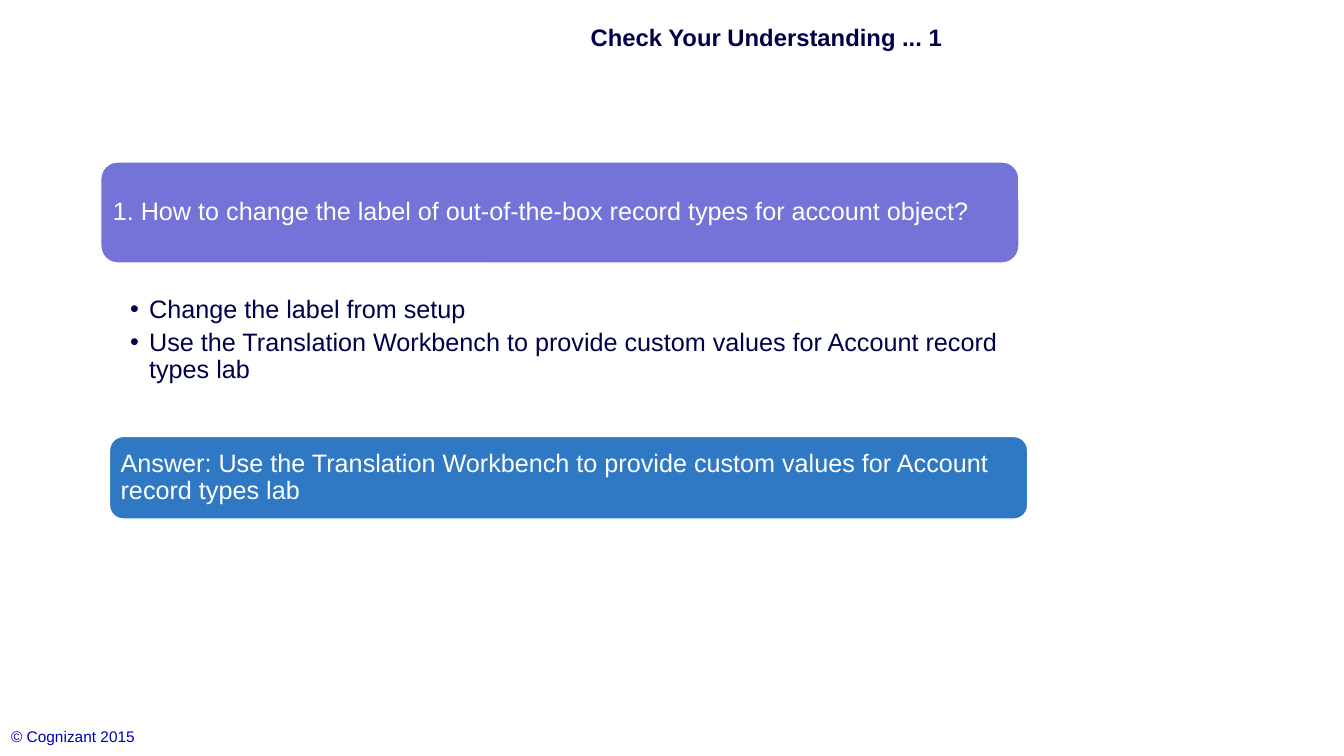
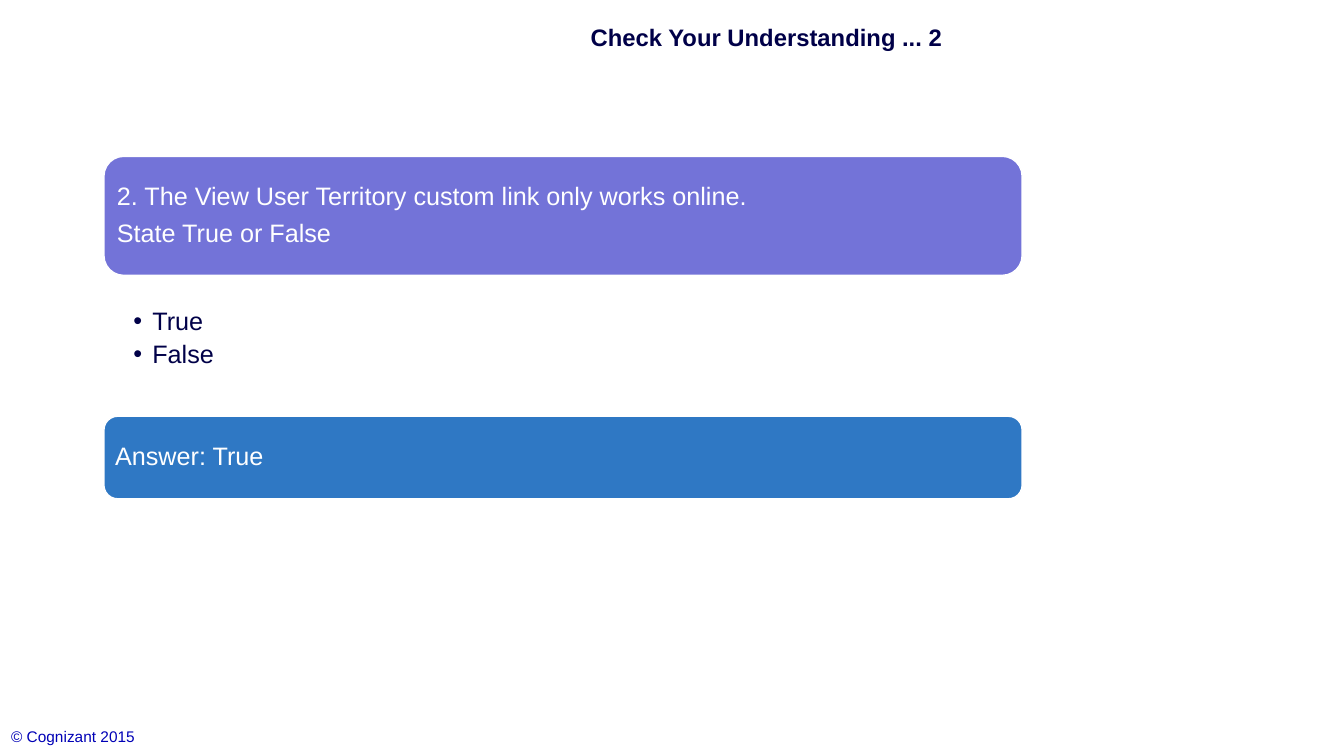
from lxml import etree
from pptx import Presentation
from pptx.dml.color import RGBColor
from pptx.enum.shapes import MSO_SHAPE
from pptx.enum.text import MSO_ANCHOR, MSO_AUTO_SIZE, PP_ALIGN
from pptx.oxml.ns import qn
from pptx.util import Cm, Pt

ROUNDED = MSO_SHAPE.ROUNDED_RECTANGLE
LEFT = PP_ALIGN.LEFT
TOP, MIDDLE = MSO_ANCHOR.TOP, MSO_ANCHOR.MIDDLE
NO_AUTOFIT = MSO_AUTO_SIZE.NONE

COLORS = {
    "navy": "000048",
    "question": "7373D8",
    "answer": "2F78C4",
    "white": "FFFFFF",
    "footer": "0000B6",
}
FONT = "Arial"
TITLE_ONLY = 5
BAND_WIDTH = 23.14
OPTIONS_GAP = 0.76
OPTIONS_HEIGHT = 3
ANSWER_HEIGHT = 2.08
BULLET_INDENT = 0.48


def rgb(name):
    return RGBColor.from_string(COLORS[name])


class Deck:
    def __init__(self):
        self.prs = Presentation()
        self.prs.slide_width = Cm(33.87)
        self.prs.slide_height = Cm(19.05)
        self.s = None

    def new_slide(self, title):
        self.s = self.prs.slides.add_slide(self.prs.slide_layouts[TITLE_ONLY])
        sp = self.s.shapes.title
        sp.left, sp.top, sp.width, sp.height = Cm(14.63), Cm(0), Cm(19.25), Cm(1.85)
        self.set_text(sp.text_frame, [title], 17, "navy", MIDDLE, bold=True)
        self.footer("© Cognizant 2015")

    def set_text(self, tf, lines, size, color, anchor, margins=None, bold=False,
                 spacing=None, after=None):
        tf.word_wrap = True
        tf.auto_size = NO_AUTOFIT
        tf.vertical_anchor = anchor
        if margins:
            tf.margin_left, tf.margin_top, tf.margin_right, tf.margin_bottom = map(Cm, margins)
        tf.text = "\n".join(lines)
        for p in tf.paragraphs:
            p.alignment = LEFT
            if spacing:
                p.line_spacing = spacing
            if after:
                p.space_after = Pt(after)
            for r in p.runs:
                r.font.name = FONT
                r.font.size = Pt(size)
                r.font.bold = bold
                r.font.color.rgb = rgb(color)

    def textbox(self, left, top, width, height):
        return self.s.shapes.add_textbox(Cm(left), Cm(top), Cm(width), Cm(height)).text_frame

    def footer(self, text):
        self.set_text(self.textbox(0.03, 18.21, 5.08, 0.64), [text], 11, "footer", TOP)

    def band(self, left, top, height, color, lines):
        sp = self.s.shapes.add_shape(ROUNDED, Cm(left), Cm(top), Cm(BAND_WIDTH), Cm(height))
        sp.shadow.inherit = False
        sp.fill.solid()
        sp.fill.fore_color.rgb = rgb(color)
        sp.line.color.rgb = rgb("white")
        sp.line.width = Pt(1)
        self.set_text(sp.text_frame, lines, 18, "white", MIDDLE, [0.18] * 4,
                      spacing=0.9, after=7)

    def options(self, left, top, lines):
        tf = self.textbox(left, top, BAND_WIDTH, OPTIONS_HEIGHT)
        self.set_text(tf, lines, 18, "navy", TOP, (0.74, 0.08, 0.36, 0.08),
                      spacing=0.9, after=4)
        for p in tf.paragraphs:
            pPr = p._p.get_or_add_pPr()
            pPr.set("marL", str(Cm(BULLET_INDENT)))
            pPr.set("indent", str(-Cm(BULLET_INDENT)))
            etree.SubElement(pPr, qn("a:buFont")).set("typeface", FONT)
            etree.SubElement(pPr, qn("a:buChar")).set("char", "•")

    def quiz(self, title, question, options, answer, question_box, answer_at):
        left, top, height = question_box
        self.new_slide(title)
        self.band(left, top, height, "question", question)
        self.options(left, top + height + OPTIONS_GAP, options)
        self.band(*answer_at, ANSWER_HEIGHT, "answer", [answer])


def main():
    deck = Deck()
    deck.quiz(
        "Check Your Understanding ... 1",
        ["1. How to change the label of out-of-the-box record types for account object?"],
        ["Change the label from setup",
         "Use the Translation Workbench to provide custom values for Account record types lab"],
        "Answer: Use the Translation Workbench to provide custom values for Account record types lab",
        question_box=(2.54, 4.08, 2.55),
        answer_at=(2.76, 11),
    )
    deck.quiz(
        "Check Your Understanding ... 2",
        ["2. The View User Territory custom link only works online.", "State True or False"],
        ["True", "False"],
        "Answer: True",
        question_box=(2.62, 3.94, 3),
        answer_at=(2.62, 10.49),
    )
    deck.prs.save("out.pptx")


if __name__ == "__main__":
    main()
